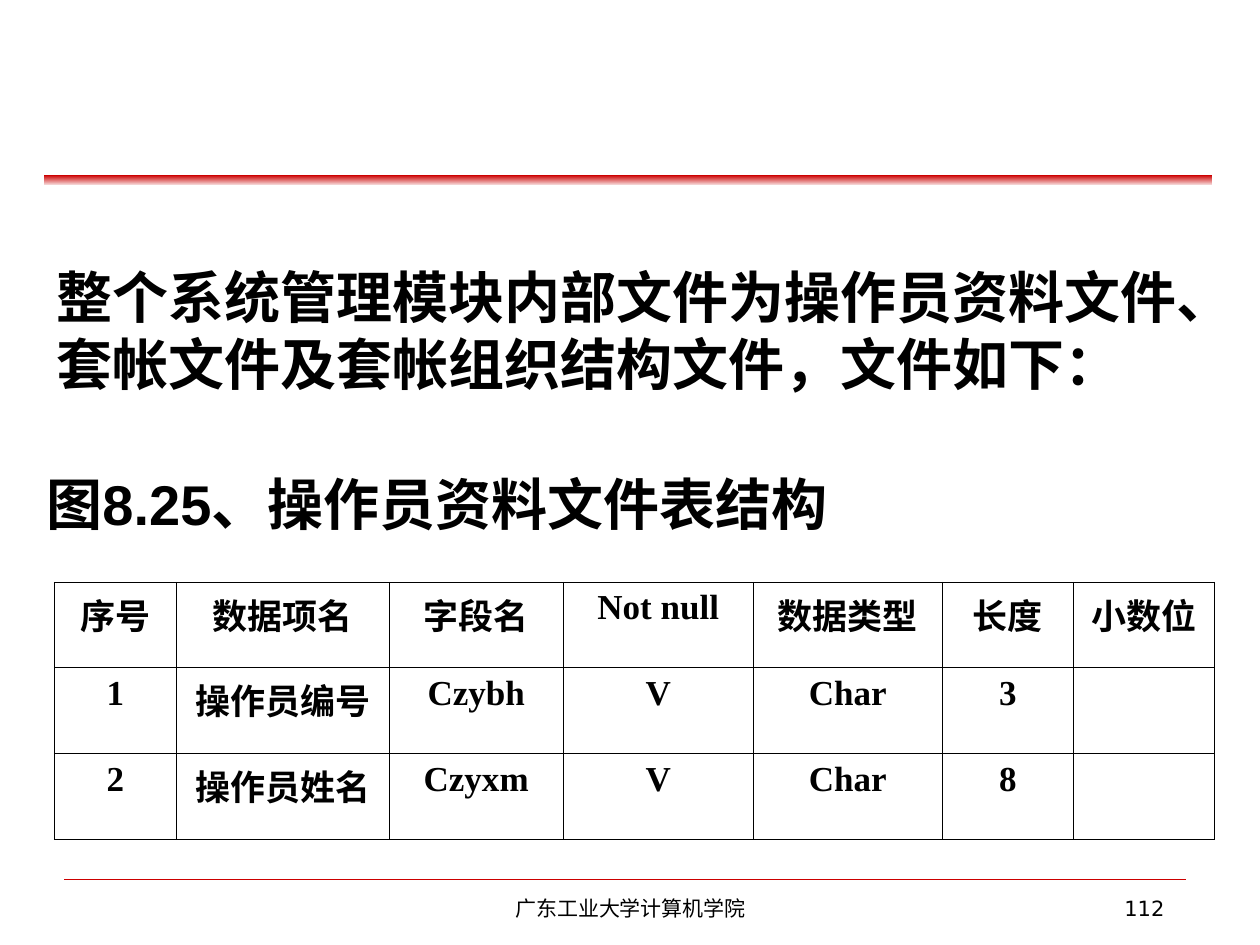
import pptx
import pptx.util
import pptx.dml.color
import pptx.enum.shapes
import pptx.enum.text
import pptx.oxml
import pptx.oxml.ns
from dataclasses import dataclass

Inches = pptx.util.Inches
ALIGN = pptx.enum.text.PP_ALIGN
ANCHOR = pptx.enum.text.MSO_ANCHOR


@dataclass(frozen=True)
class Theme:
    ink: str = "000000"
    red: str = "CC0000"
    pale: str = "F7DFDF"
    head: int = 32
    body: int = 20
    foot: int = 12
    sans: str = "Arial"
    serif: str = "Times New Roman"
    plain: str = "DejaVu Sans"


THEME = Theme()
WIDTHS = [0.97, 1.69, 1.38, 1.51, 1.5, 1.04, 1.12]
ROWS = [
    ["序号", "数据项名", "字段名", "Not null", "数据类型", "长度", "小数位"],
    ["1", "操作员编号", "Czybh", "V", "Char", "3", ""],
    ["2", "操作员姓名", "Czyxm", "V", "Char", "8", ""],
]


def tint(code):
    return pptx.dml.color.RGBColor.from_string(code)


def style(para, size, face, bold, align):
    para.alignment = align
    for run in para.runs:
        font = run.font
        font.size = pptx.util.Pt(size)
        font.name = face
        font.bold = bold
        font.color.rgb = tint(THEME.ink)


def add_text(slide, box, text, size, face, bold=False,
             align=ALIGN.LEFT, anchor=ANCHOR.TOP):
    frame = slide.shapes.add_textbox(*map(Inches, box)).text_frame
    frame.word_wrap = True
    frame.vertical_anchor = anchor
    frame.text = text
    style(frame.paragraphs[0], size, face, bold, align)


def add_band(slide, left, top, right, base):
    pen = slide.shapes.build_freeform(Inches(left), Inches(base))
    ends = [(right, base), (right, top), (left, top)]
    pen.add_line_segments([(Inches(x), Inches(y)) for x, y in ends])
    band = pen.convert_to_shape()
    band.shadow.inherit = False
    band.line.fill.background()
    band.fill.gradient()
    band.fill.gradient_angle = 90
    for stop, code in zip(band.fill.gradient_stops, (THEME.pale, THEME.red)):
        stop.color.rgb = tint(code)


def add_rule(slide, left, right, top):
    kind = pptx.enum.shapes.MSO_CONNECTOR.STRAIGHT
    rule = slide.shapes.add_connector(
        kind, Inches(left), Inches(top), Inches(right), Inches(top))
    rule.line.color.rgb = tint(THEME.red)
    rule.line.width = pptx.util.Pt(0.25)
    props = rule.element.spPr
    props.append(props.makeelement(pptx.oxml.ns.qn("a:effectLst"), {}))


def add_edges(cell):
    props = cell._tc.get_or_add_tcPr()
    space = pptx.oxml.ns.nsdecls("a")
    width = pptx.util.Pt(0.45)
    # Borders must come before the fill
    for spot, side in enumerate(("lnL", "lnR", "lnT", "lnB")):
        props.insert(spot, pptx.oxml.parse_xml(
            f'<a:{side} {space} w="{width}"><a:solidFill>'
            f'<a:srgbClr val="{THEME.ink}"/></a:solidFill></a:{side}>'))


def add_grid(slide, left, top, high):
    frame = slide.shapes.add_table(
        len(ROWS), len(WIDTHS), Inches(left), Inches(top),
        Inches(sum(WIDTHS)), Inches(high * len(ROWS)))
    grid = frame.table
    grid.first_row = grid.horz_banding = False
    for col, width in zip(grid.columns, WIDTHS):
        col.width = Inches(width)
    for row, words in zip(grid.rows, ROWS):
        row.height = Inches(high)
        for cell, word in zip(row.cells, words):
            cell.fill.background()
            add_edges(cell)
            cell.text = word
            face = THEME.serif if word.isascii() else THEME.sans
            style(cell.text_frame.paragraphs[0], THEME.body, face,
                  True, ALIGN.CENTER)


def main():
    deck = pptx.Presentation()
    deck.slide_width, deck.slide_height = Inches(10), Inches(7.5)
    slide = deck.slides.add_slide(deck.slide_layouts[6])

    # Header band and footer rule
    add_band(slide, 0.35, 1.39, 9.62, 1.47)
    add_rule(slide, 0.51, 9.41, 6.98)

    # Lead text, table and caption
    add_text(slide, (0.35, 1.55, 9.65, 1.65),
             "整个系统管理模块内部文件为操作员资料文件、套帐文件及套帐组织结构文件，文件如下：",
             THEME.head, THEME.plain, True, anchor=ANCHOR.BOTTOM)
    add_grid(slide, 0.43, 4.62, 0.68)
    add_text(slide, (0.27, 3.67, 7.79, 0.64), "图8.25、操作员资料文件表结构",
             THEME.head, THEME.sans, True, anchor=ANCHOR.MIDDLE)

    # Footer
    add_text(slide, (3.42, 7.06, 3.17, 0.29), "广东工业大学计算机学院",
             THEME.foot, THEME.plain, align=ALIGN.CENTER)
    add_text(slide, (7.17, 7.06, 2.17, 0.29), "112",
             THEME.foot, THEME.plain, align=ALIGN.RIGHT)

    deck.save("out.pptx")


if __name__ == "__main__":
    main()
